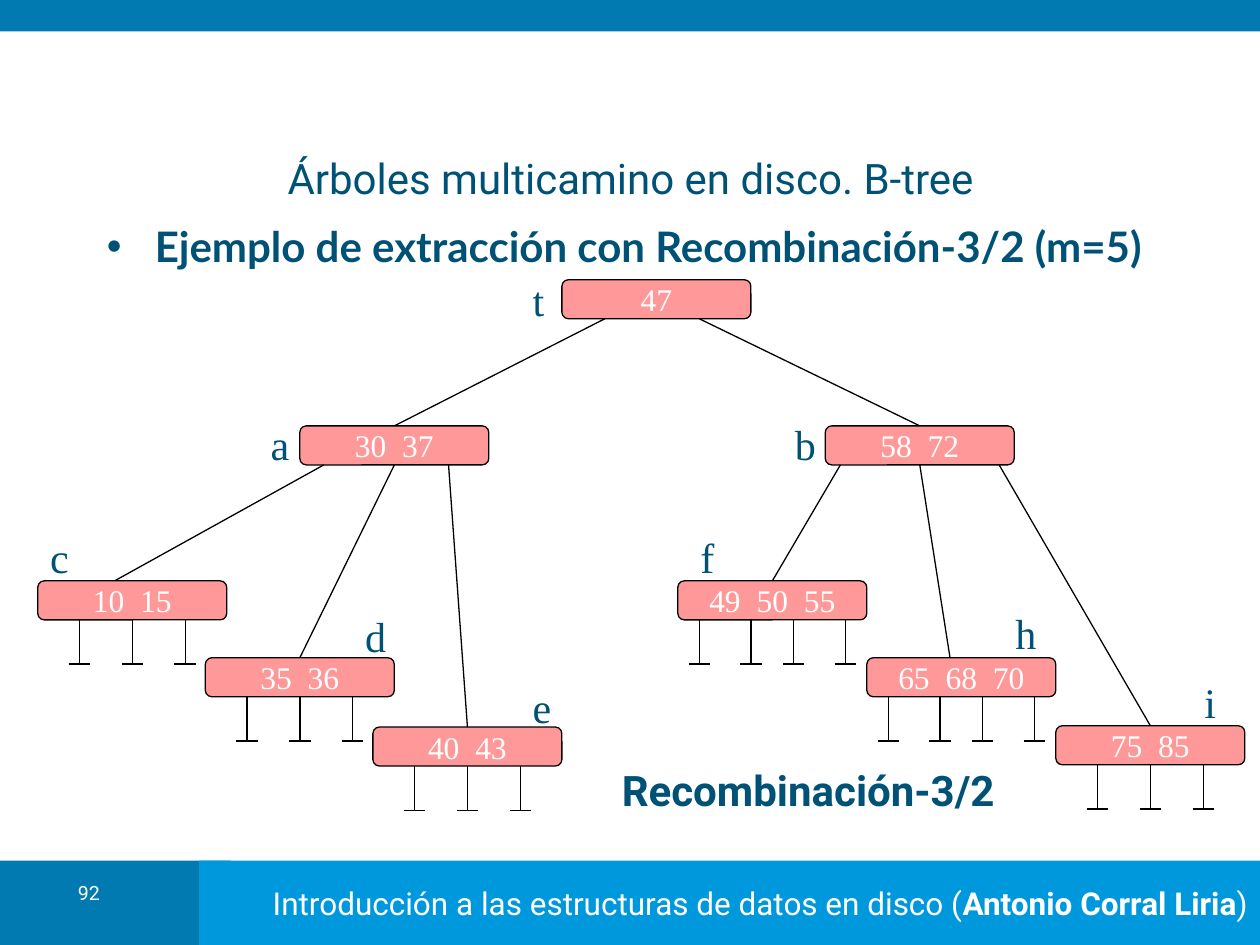
from lxml.etree import SubElement
from pptx import Presentation
from pptx.dml.color import RGBColor
from pptx.enum.shapes import MSO_CONNECTOR as Connector, MSO_SHAPE as Shape
from pptx.enum.text import MSO_ANCHOR as Anchor, MSO_AUTO_SIZE as AutoSize, PP_ALIGN as Align
from pptx.oxml.ns import qn
from pptx.util import Inches, Pt

COLORS = {"dark": "007AB1", "light": "0098DC", "text": "005176", "node": "FF9999",
          "line": "000000", "white": "FFFFFF"}
BARS = [((0, 6.83, 1.83, 0.67), "dark"), ((1.58, 6.83, 8.42, 0.67), "light"),
        ((0, 0, 10, 0.25), "dark")]
TITLE = "Árboles multicamino en disco. B-tree"
HEADING = "Ejemplo de extracción con Recombinación-3/2 (m=5)"
CAPTION = "Recombinación-3/2"
FOOTER = [("Introducción a las estructuras de datos en disco (", False),
          ("Antonio Corral Liria", True), (")", False)]
PAGE = "92"
# name: keys, node left and top, label left and top
NODES = {
    "t": (["47"], (4.46, 2.22), (4.13, 2.13)),
    "a": (["30", "37"], (2.38, 3.38), (2.05, 3.27)),
    "b": (["58", "72"], (6.55, 3.38), (6.21, 3.27)),
    "c": (["10", "15"], (0.3, 4.61), (0.3, 4.17)),
    "d": (["35", "36"], (1.63, 5.22), (2.8, 4.8)),
    "e": (["40", "43"], (2.96, 5.77), (4.13, 5.36)),
    "f": (["49", "50", "55"], (5.38, 4.61), (5.46, 4.17)),
    "h": (["65", "68", "70"], (6.88, 5.22), (7.96, 4.77)),
    "i": (["75", "85"], (8.38, 5.76), (9.46, 5.32)),
}
NODE_WIDTH, NODE_HEIGHT = 1.5, 0.31
CENTER = NODE_WIDTH / 2
EDGES = [("t", 0.34, "a", CENTER), ("t", 1.09, "b", CENTER),
         ("a", 0.19, "c", 0.61), ("a", CENTER, "d", CENTER), ("a", 1.18, "e", CENTER),
         ("b", 0.12, "f", CENTER), ("b", CENTER, "h", 0.66), ("b", 1.38, "i", CENTER)]
STEMS = {2: (0.33, CENTER, 1.17), 3: (0.17, 0.58, 0.92, 1.33)}
STEM_HEIGHT, FOOT_WIDTH = 0.35, 0.17
TOP, BOTTOM = 0, 2


def rgb(name):
    return RGBColor.from_string(COLORS[name])


def write(shape, runs, size, font="Roboto", color="text", align=Align.LEFT,
          anchor=Anchor.TOP):
    """Fill a shape with one paragraph of (text, bold) runs."""
    frame = shape.text_frame
    frame.word_wrap, frame.auto_size, frame.vertical_anchor = True, AutoSize.NONE, anchor
    paragraph = frame.paragraphs[0]
    paragraph.alignment = align
    for text, bold in runs:
        run = paragraph.add_run()
        run.text = text
        for key, value in {"name": font, "size": Pt(size), "bold": bold}.items():
            setattr(run.font, key, value)
        run.font.color.rgb = rgb(color)
    return paragraph


def add_box(slide, kind, box, fill, line=None):
    shape = slide.shapes.add_shape(kind, *map(Inches, box))
    shape.shadow.inherit = False
    shape.fill.solid()
    shape.fill.fore_color.rgb = rgb(fill)
    if line:
        shape.line.color.rgb = rgb(line)
        shape.line.width = Pt(0.75)
    else:
        shape.line.fill.background()
    return shape


def add_text(slide, box, runs, size, **style):
    return write(slide.shapes.add_textbox(*map(Inches, box)), runs, size, **style)


def add_line(slide, start, end):
    line = slide.shapes.add_connector(Connector.STRAIGHT, *map(Inches, start + end))
    line.line.color.rgb = rgb("line")
    line.line.width = Pt(0.75)
    SubElement(line._element.spPr, qn("a:effectLst"))
    return line


def add_node(slide, keys, position):
    node = add_box(slide, Shape.ROUNDED_RECTANGLE, (*position, NODE_WIDTH, NODE_HEIGHT),
                   "node", "line")
    runs = [(part, False) for key in keys for part in (" ", key)][1:]
    paragraph = write(node, runs, 18, "Times New Roman", "white", Align.CENTER, Anchor.MIDDLE)
    for run in paragraph.runs[1::2]:
        run.font._element.set("spc", "450")
    return node


def add_tree(slide):
    nodes = {name: add_node(slide, keys, position)
             for name, (keys, position, _) in NODES.items()}
    for parent, start, child, end in EDGES:
        (left, top), (child_left, child_top) = NODES[parent][1], NODES[child][1]
        line = add_line(slide, (left + start, top + NODE_HEIGHT), (child_left + end, child_top))
        if start == CENTER:
            line.begin_connect(nodes[parent], BOTTOM)
        if end == CENTER:
            line.end_connect(nodes[child], TOP)
    parents = {edge[0] for edge in EDGES}
    for name, (keys, (left, top), label) in NODES.items():
        add_text(slide, (*label, 0.33, 0.5), [(name, False)], 24, font="Times New Roman")
        if name in parents:
            continue
        bottom = top + NODE_HEIGHT
        foot = bottom + STEM_HEIGHT
        for offset in STEMS[len(keys)]:
            x = left + offset
            stem = add_line(slide, (x, bottom), (x, foot))
            if offset == CENTER:
                stem.begin_connect(nodes[name], BOTTOM)
            add_line(slide, (x - FOOT_WIDTH / 2, foot), (x + FOOT_WIDTH / 2, foot))


def add_heading(slide):
    paragraph = add_text(slide, (0.75, 1.7, 9.05, 5.12), [(HEADING, True)], 24, font="Lato")
    properties = paragraph._p.get_or_add_pPr()
    for key, inches in {"marL": 0.38, "indent": -0.38}.items():
        properties.set(key, str(Inches(inches)))
    color = SubElement(properties, qn("a:buClr"))
    SubElement(color, qn("a:srgbClr"), val=COLORS["text"])
    SubElement(properties, qn("a:buFont"), typeface="Arial")
    SubElement(properties, qn("a:buChar"), char="•")


def main():
    presentation = Presentation()
    presentation.slide_width, presentation.slide_height = Inches(10), Inches(7.5)
    slide = presentation.slides.add_slide(presentation.slide_layouts[5])
    bars = [add_box(slide, Shape.RECTANGLE, box, fill) for box, fill in BARS]
    write(bars[1], FOOTER, 18, color="white", align=Align.RIGHT, anchor=Anchor.MIDDLE)
    page = add_text(slide, (0.35, 6.98, 0.71, 0.32), [(PAGE, False)], 11.2,
                    color="white", align=Align.CENTER)
    page.line_spacing = 0.8
    title = slide.shapes.title
    box = {"left": 0.83, "top": 1.2, "width": 8.35, "height": 0.42}
    for key, inches in box.items():
        setattr(title, key, Inches(inches))
    write(title, [(TITLE, False)], 24, align=Align.CENTER, anchor=Anchor.MIDDLE)
    add_heading(slide)
    add_tree(slide)
    add_text(slide, (4.69, 6.02, 3.45, 0.5), [(CAPTION, True)], 24,
             align=Align.CENTER, anchor=Anchor.MIDDLE)
    presentation.save("out.pptx")


if __name__ == "__main__":
    main()
